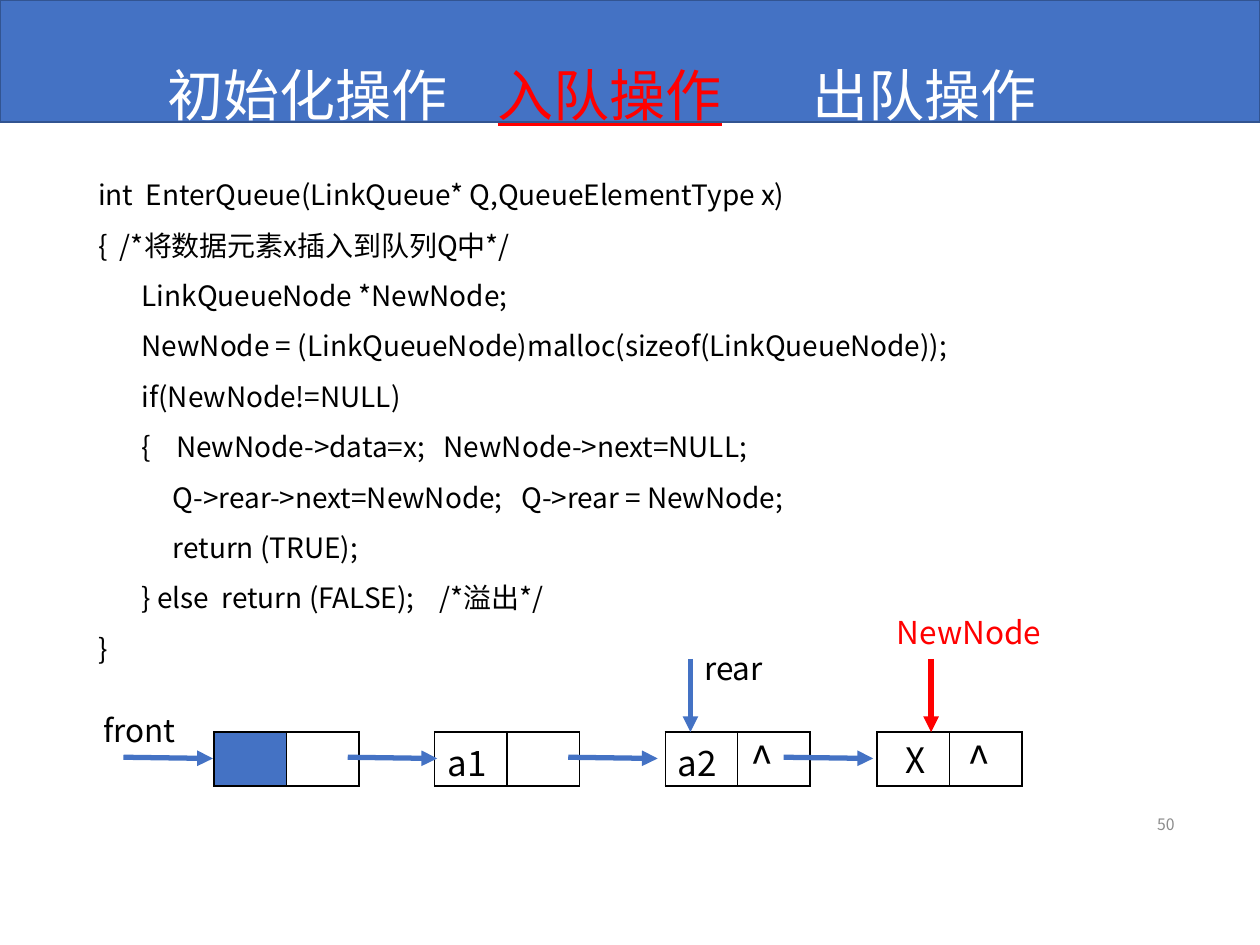
from lxml.etree import SubElement
from pptx import Presentation
from pptx.dml.color import RGBColor
from pptx.enum.shapes import MSO_CONNECTOR, MSO_SHAPE
from pptx.enum.text import MSO_ANCHOR, MSO_AUTO_SIZE, PP_ALIGN
from pptx.oxml.ns import qn
from pptx.util import Inches, Pt

COLUMNS, ROWS = 100, 75
FONT = "Noto Sans CJK SC"
BLUE, RED, BLACK, WHITE = "4472C4", "FF0000", "000000", "FFFFFF"
CODE = """int  EnterQueue(LinkQueue* Q,QueueElementType x)
{  /*将数据元素x插入到队列Q中*/
       LinkQueueNode *NewNode;
       NewNode = (LinkQueueNode)malloc(sizeof(LinkQueueNode));
       if(NewNode!=NULL)
       {    NewNode->data=x;   NewNode->next=NULL;
            Q->rear->next=NewNode;   Q->rear = NewNode;
            return (TRUE);
       } else  return (FALSE);    /*溢出*/
}"""


def grid(*units):
    """Convert grid columns or rows to lengths."""
    return [Inches(unit / 10) for unit in units]


def rgb(color):
    """Turn a hex string into a colour."""
    return RGBColor.from_string(color)


def style_run(r, size, color):
    """Set the font, size and colour of a run."""
    r.font.name = FONT
    r.font.size = Pt(size)
    r.font.color.rgb = rgb(color)
    SubElement(r.font._element, qn("a:ea"), typeface=FONT)


def style_frame(tf, size, color, spacing=1.0):
    """Format every paragraph of a text frame."""
    for p in tf.paragraphs:
        p.line_spacing = spacing
        for r in p.runs:
            style_run(r, size, color)


def add_label(s, box, text, size, color=BLACK, spacing=1.0):
    """Add a wrapped text box on the grid."""
    tf = s.shapes.add_textbox(*grid(*box)).text_frame
    tf.word_wrap = True
    tf.text = text
    style_frame(tf, size, color, spacing)
    return tf


def add_arrow(s, x, y, dx, dy, color=BLUE):
    """Draw an arrow from a point along an offset."""
    line = s.shapes.add_connector(MSO_CONNECTOR.STRAIGHT, *grid(x, y, x + dx, y + dy))
    line.line.color.rgb = rgb(color)
    line.line.width = Pt(3)
    SubElement(line.line._get_or_add_ln(), qn("a:tailEnd"), type="triangle")
    SubElement(line._element.spPr, qn("a:effectLst"))


def add_border(cell):
    """Outline a table cell with thin black lines."""
    props = cell._tc.get_or_add_tcPr()
    for index, side in enumerate(("lnL", "lnR", "lnT", "lnB")):
        ln = props.makeelement(qn(f"a:{side}"), {"w": str(Pt(1))})
        SubElement(SubElement(ln, qn("a:solidFill")), qn("a:srgbClr"), val=BLACK)
        props.insert(index, ln)


def add_node(s, x, y, data, fill):
    """Add a list node with a data cell and a pointer cell."""
    table = s.shapes.add_table(1, 2, *grid(x, y, 11.5, 4.3)).table
    table.first_row = table.horz_banding = False
    for cell, text in zip(table.rows[0].cells, (data, "")):
        cell.margin_top, cell.margin_bottom = Inches(0.03), 0
        cell.text = text
        style_frame(cell.text_frame, 20, BLACK)
        cell.fill.background()
        add_border(cell)
    data_cell = table.cell(0, 0)
    data_cell.fill.solid()
    data_cell.fill.fore_color.rgb = rgb(fill)


def add_header(s, box):
    """Fill the banner and place the operations title in it."""
    x, y, w, h = box
    banner = s.shapes.add_shape(MSO_SHAPE.RECTANGLE, *grid(*box))
    banner.shadow.inherit = False
    banner.fill.solid()
    banner.fill.fore_color.rgb = rgb(BLUE)
    banner.line.color.rgb = rgb("325491")
    banner.line.width = Pt(1)

    title = s.shapes.title
    title.element.getparent().append(title.element)
    title.left, title.top, title.width, title.height = grid(x + 12.3, y + 1.6, w - 14.5, h - 1.6)
    tf = title.text_frame
    tf.word_wrap, tf.auto_size = True, MSO_AUTO_SIZE.NONE
    tf.vertical_anchor = MSO_ANCHOR.TOP
    p = tf.paragraphs[0]
    p.alignment, p.line_spacing = PP_ALIGN.LEFT, 1.5
    tabs = SubElement(p._p.get_or_add_pPr(), qn("a:tabLst"))
    for stop in grid(26.2, 51.2):
        SubElement(tabs, qn("a:tab"), pos=str(stop), algn="l")
    for text, color in (("初始化操作\t", WHITE), ("入队操作", RED), ("\t出队操作", WHITE)):
        r = p.add_run()
        r.text = text
        style_run(r, 32, color)
        r.font.underline = color == RED


def add_queue(s, box):
    """Draw the linked queue with its pointers and the new node."""
    x, y, w, h = box
    node_y = y + h - 4.3
    nodes = ((10, "", BLUE), (27.5, "a1", WHITE), (45.8, "a2", WHITE), (62.6, "", WHITE))
    for dx, data, fill in nodes:
        add_node(s, x + dx, node_y, data, fill)
    for dx in (2.8, 20.6, 38.1, 55.2):
        add_arrow(s, x + dx, node_y + 2, 7.1, 0.1)
    for dx, color in ((47.8, BLUE), (66.9, RED)):
        add_arrow(s, x + dx, node_y - 5.8, 0, 5.8, color)
    labels = (
        (0.2, 7.7, 8.2, 4, "front", 18, BLACK),
        (47.9, 2.8, 8.2, 4, "rear", 18, BLACK),
        (63.2, 0, 15.3, 4, "NewNode", 18, RED),
        (51.6, 9.7, 9.5, 5, "^", 24, BLACK),
        (68.8, 9.7, 5.7, 5, "^", 24, BLACK),
        (63.9, 9.9, 5.7, 4.4, "X", 20, BLACK),
    )
    for dx, dy, width, height, text, size, color in labels:
        add_label(s, (x + dx, y + dy, width, height), text, size, color)


def add_page_number(s, box):
    """Place the page number at the right of its box."""
    tf = add_label(s, box, "50", 9, "8C8C8C")
    tf.vertical_anchor = MSO_ANCHOR.MIDDLE
    tf.paragraphs[0].alignment = PP_ALIGN.RIGHT


def main():
    """Build and save the enqueue slide."""
    prs = Presentation()
    prs.slide_width, prs.slide_height = grid(COLUMNS, ROWS)
    s = prs.slides.add_slide(prs.slide_layouts[5])
    add_header(s, (0, 0, COLUMNS, 9.7))
    add_page_number(s, (71.7, 63.4, 22.5, 4))
    add_label(s, (6.8, 12.3, 73.8, 40.9), CODE, 16, spacing=1.5)
    add_queue(s, (7, 48.2, 78.5, 14.2))
    prs.save("out.pptx")


if __name__ == "__main__":
    main()
